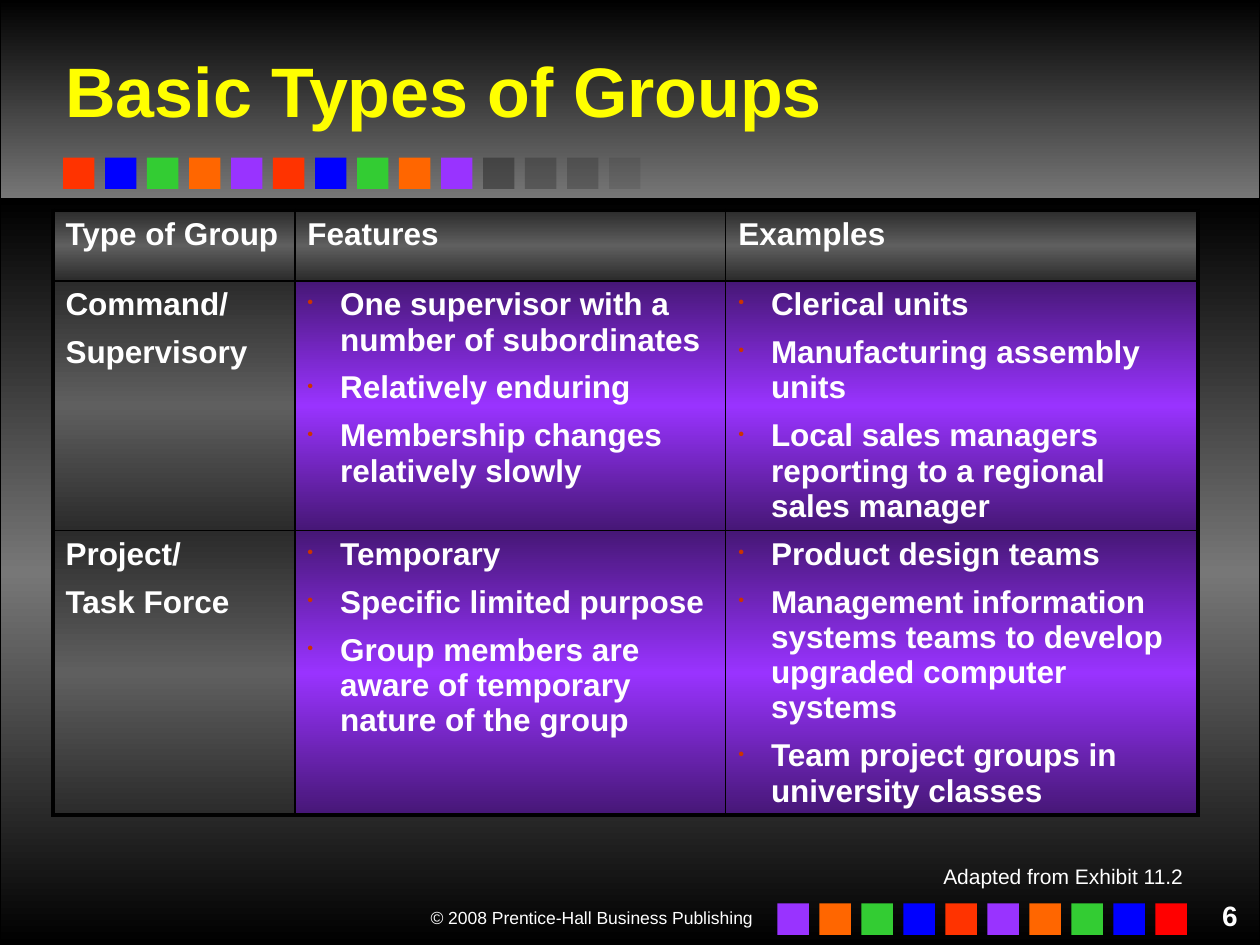
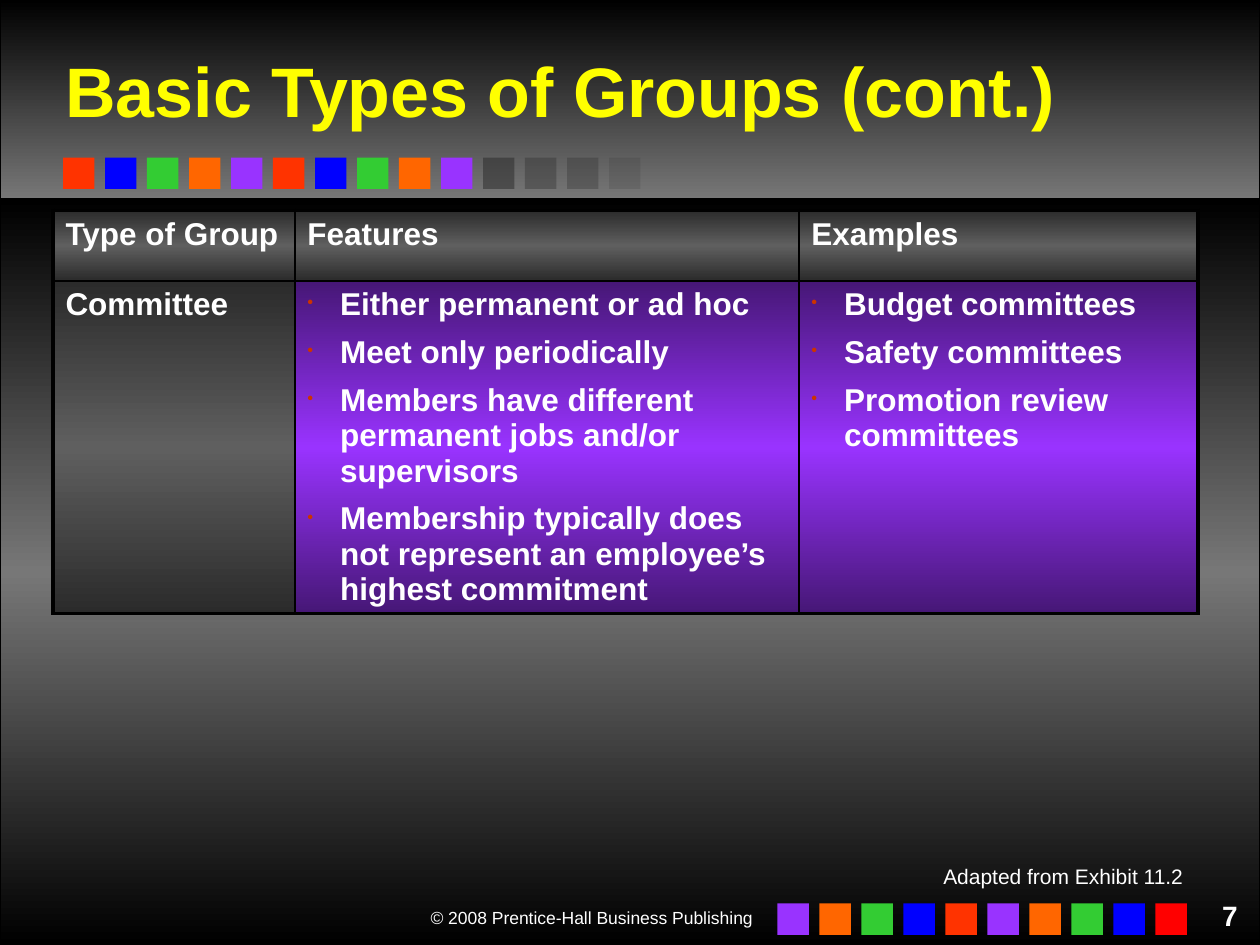
"""Build two slides that compare the basic types of groups."""
from dataclasses import dataclass
from typing import Any, Optional

import lxml.etree
import pptx
import pptx.dml.color
import pptx.enum.shapes
import pptx.enum.text
import pptx.oxml.ns
import pptx.util

Inches = pptx.util.Inches
Pt = pptx.util.Pt
qn = pptx.oxml.ns.qn
PP_ALIGN = pptx.enum.text.PP_ALIGN
ANCHOR = pptx.enum.text.MSO_ANCHOR

FONT = "Arial"
BLACK, WHITE, YELLOW, GREY = "000000", "FFFFFF", "FFFF00", "777777"
RED, BLUE, GREEN, ORANGE, PURPLE = "FF3300", "0000FF", "33CC33", "FF6600", "9933FF"
BRIGHT_RED, FADED, BULLET_RED = "FF0000", "292929", "CC3300"
LABEL_GREY = "5F5F5F"
EDGE_SHADE = 46275
SQUARE_SIZE, SQUARE_STEP = 0.25, 1 / 3
OUTER_LINE, INNER_LINE = 2.25, 1
HEADINGS = ("Type of Group", "Features", "Examples")
HEADER_HEIGHT, ROW_HEIGHT = 0.56, 1.75


@dataclass(frozen=True)
class Stop:
    """One gradient stop, with its position and optional shade in percent."""
    position: int
    color: str
    shade: Optional[int] = None


@dataclass(frozen=True)
class Band:
    """A full-width background band."""
    top: float
    height: float
    stops: tuple[Stop, ...]


@dataclass(frozen=True)
class SquareRow:
    """A row of evenly spaced squares, each a colour and an opacity."""
    left: float
    top: float
    squares: tuple[tuple[str, int], ...]


@dataclass(frozen=True)
class Note:
    """A right-aligned line of white text."""
    text: str
    left: float
    top: float
    width: float
    height: float
    size: int
    bold: bool = False
    line_spacing: float = 1.0


@dataclass(frozen=True)
class GroupType:
    """A table row: the label lines, the features and the examples."""
    label: tuple[str, ...]
    features: tuple[str, ...]
    examples: tuple[str, ...]


@dataclass(frozen=True)
class GroupPage:
    """The content of one slide."""
    number: int
    title: str
    widths: tuple[float, ...]
    groups: tuple[GroupType, ...]


BANDS = (
    Band(0, 1.58, (Stop(0, BLACK), Stop(100, GREY))),
    Band(1.58, 5.92, (Stop(0, BLACK), Stop(50, GREY), Stop(100, BLACK))),
)
TOP_COLORS = (RED, BLUE, GREEN, ORANGE, PURPLE) * 2
FOOTER_COLORS = (PURPLE, ORANGE, GREEN, BLUE, RED,
                 PURPLE, ORANGE, GREEN, BLUE, BRIGHT_RED)
SQUARE_ROWS = (
    SquareRow(0.5, 1.25, tuple((color, 100) for color in TOP_COLORS)
              + tuple((FADED, opacity) for opacity in (50, 35, 30, 15))),
    SquareRow(6.17, 7.17, tuple((color, 100) for color in FOOTER_COLORS)),
)
COPYRIGHT = Note("© 2008 Prentice-Hall Business Publishing", 2.92, 7.15, 3.15, 0.27, 10)
CREDIT = Note("Adapted from Exhibit 11.2", 7.08, 6.83, 2.41, 0.28, 12, line_spacing=0.9)

PAGES = (
    GroupPage(6, "Basic Types of Groups", (1.92, 3.42, 3.75), (
        GroupType(
            ("Command/", "Supervisory"),
            ("One supervisor with a number of subordinates",
             "Relatively enduring",
             "Membership changes relatively slowly"),
            ("Clerical units",
             "Manufacturing assembly units",
             "Local sales managers reporting to a regional sales manager")),
        GroupType(
            ("Project/", "Task Force"),
            ("Temporary",
             "Specific limited purpose",
             "Group members are aware of temporary nature of the group"),
            ("Product design teams",
             "Management information systems teams to develop upgraded computer systems",
             "Team project groups in university classes")),
    )),
    GroupPage(7, "Basic Types of Groups (cont.)", (1.92, 4, 3.17), (
        GroupType(
            ("Committee",),
            ("Either permanent or ad hoc",
             "Meet only periodically",
             "Members have different permanent jobs and/or supervisors",
             "Membership typically does not represent an employee’s highest commitment"),
            ("Budget committees",
             "Safety committees",
             "Promotion review committees")),
    )),
)


def rgb(color: str) -> pptx.dml.color.RGBColor:
    """Turn a hex string into a colour."""
    return pptx.dml.color.RGBColor.from_string(color)


def add_element(parent: Any, tag: str, **attributes: Any) -> Any:
    """Append a drawing element with the given attributes."""
    values = {name: str(value) for name, value in attributes.items()}
    return lxml.etree.SubElement(parent, qn(f"a:{tag}"), values)


def apply_format(target: Any, values: dict[str, Any]) -> None:
    """Set each attribute named in the format values."""
    for name, value in values.items():
        setattr(target, name, value)


def format_font(font: Any, size: int, color: str, bold: bool) -> None:
    """Format a font in the deck's typeface."""
    apply_format(font, {"name": FONT, "size": Pt(size), "bold": bold})
    font.color.rgb = rgb(color)


def fill_gradient(fill: Any, owner: Any, stops: tuple[Stop, ...]) -> None:
    """Fill from top to bottom with the given stops."""
    fill.gradient()
    fill.gradient_angle = 270
    stop_list = owner.find(f".//{qn('a:gsLst')}")
    for old_stop in list(stop_list):
        stop_list.remove(old_stop)
    for stop in stops:
        entry = add_element(stop_list, "gs", pos=stop.position * 1000)
        color = add_element(entry, "srgbClr", val=stop.color)
        if stop.shade is not None:
            add_element(color, "gamma")
            add_element(color, "shade", val=stop.shade)
            add_element(color, "invGamma")


def add_rectangle(page: Any, left: float, top: float, width: float, height: float) -> Any:
    """Add a rectangle without a shadow."""
    shape = page.shapes.add_shape(
        pptx.enum.shapes.MSO_SHAPE.RECTANGLE,
        Inches(left), Inches(top), Inches(width), Inches(height))
    shape.shadow.inherit = False
    return shape


def draw_band(page: Any, band: Band) -> None:
    """Draw a gradient band across the page."""
    shape = add_rectangle(page, 0, band.top, 10, band.height)
    fill_gradient(shape.fill, shape.element, band.stops)
    shape.line.color.rgb = rgb(BLACK)
    shape.line.width = Pt(0.75)


def draw_squares(page: Any, row: SquareRow) -> None:
    """Draw a row of coloured squares."""
    for index, (color, opacity) in enumerate(row.squares):
        square = add_rectangle(page, row.left + index * SQUARE_STEP, row.top,
                               SQUARE_SIZE, SQUARE_SIZE)
        square.fill.solid()
        square.fill.fore_color.rgb = rgb(color)
        square.line.fill.background()
        if opacity < 100:
            fill_color = square.element.spPr.find(f".//{qn('a:srgbClr')}")
            add_element(fill_color, "alpha", val=opacity * 1000)


def draw_note(page: Any, note: Note) -> None:
    """Draw a right-aligned text box."""
    box = page.shapes.add_textbox(
        Inches(note.left), Inches(note.top), Inches(note.width), Inches(note.height))
    box.text_frame.word_wrap = True
    para = box.text_frame.paragraphs[0]
    apply_format(para, {"alignment": PP_ALIGN.RIGHT, "line_spacing": note.line_spacing})
    span = para.add_run()
    span.text = note.text
    format_font(span.font, note.size, WHITE, note.bold)


def draw_title(page: Any, text: str) -> None:
    """Place and format the title above the bands."""
    title = page.shapes.title
    title.element.getparent().append(title.element)
    apply_format(title, {"left": Inches(0.42), "top": Inches(0.25),
                         "width": Inches(9.42), "height": Inches(0.92)})
    apply_format(title.text_frame, {"word_wrap": True, "vertical_anchor": ANCHOR.MIDDLE,
                                    "auto_size": pptx.enum.text.MSO_AUTO_SIZE.NONE})
    para = title.text_frame.paragraphs[0]
    para.alignment = PP_ALIGN.LEFT
    span = para.add_run()
    span.text = text
    format_font(span.font, 40, YELLOW, True)
    fill = span.font.fill
    fill.solid()
    fill.fore_color.rgb = rgb(YELLOW)
    effects = lxml.etree.Element(qn("a:effectLst"))
    shadow = add_element(effects, "outerShdw", dist=Pt(3), dir=2700000, algn="tl")
    add_element(shadow, "srgbClr", val=BLACK)
    span.font._element.find(qn("a:solidFill")).addnext(effects)


def draw_borders(cell: Any, outer: dict[str, bool]) -> None:
    """Give a cell thick borders on outer sides and thin ones inside."""
    properties = cell._tc.get_or_add_tcPr()
    for side, is_outer in outer.items():
        width = Pt(OUTER_LINE if is_outer else INNER_LINE)
        line = add_element(properties, f"ln{side}", w=width)
        add_element(add_element(line, "solidFill"), "srgbClr", val=BLACK)


def write_cell(cell: Any, lines: tuple[str, ...], bulleted: bool) -> None:
    """Write the lines of a cell as paragraphs."""
    for index, line in enumerate(lines):
        frame = cell.text_frame
        para = frame.add_paragraph() if index else frame.paragraphs[0]
        if bulleted:
            properties = para._p.get_or_add_pPr()
            properties.set("marL", str(Inches(0.26)))
            properties.set("indent", str(Inches(-0.26)))
            add_element(add_element(properties, "buClr"), "srgbClr", val=BULLET_RED)
            add_element(properties, "buSzPct", val=55000)
            add_element(properties, "buChar", char="•")
        if index:
            para.space_before = Pt(7.2)
        span = para.add_run()
        span.text = line
        format_font(span.font, 18, WHITE, True)


def draw_table(page: Any, content: GroupPage) -> None:
    """Draw the table of group types."""
    rows = [tuple((heading,) for heading in HEADINGS)]
    rows += [(group.label, group.features, group.examples) for group in content.groups]
    heights = [HEADER_HEIGHT] + [ROW_HEIGHT] * len(content.groups)
    table = page.shapes.add_table(
        len(rows), len(HEADINGS), Inches(0.42), Inches(1.67),
        Inches(sum(content.widths)), Inches(sum(heights))).table
    apply_format(table, {"first_row": False, "horz_banding": False})
    for column, width in zip(table.columns, content.widths):
        column.width = Inches(width)
    for row_index, (row, height) in enumerate(zip(rows, heights)):
        table.rows[row_index].height = Inches(height)
        for column_index, lines in enumerate(row):
            cell = table.cell(row_index, column_index)
            bulleted = row_index > 0 and column_index > 0
            draw_borders(cell, {"L": column_index == 0,
                                "R": column_index == len(row) - 1,
                                "T": row_index == 0,
                                "B": row_index == len(rows) - 1})
            color = PURPLE if bulleted else LABEL_GREY
            fill_gradient(cell.fill, cell._tc, (
                Stop(0, color, EDGE_SHADE), Stop(50, color), Stop(100, color, EDGE_SHADE)))
            write_cell(cell, lines, bulleted)


def draw_page(deck: Any, content: GroupPage) -> None:
    """Add one complete slide to the deck."""
    page = deck.slides.add_slide(deck.slide_layouts[5])
    for band in BANDS:
        draw_band(page, band)
    draw_note(page, COPYRIGHT)
    for row in SQUARE_ROWS:
        draw_squares(page, row)
    draw_note(page, Note(str(content.number), 9.42, 7.08, 0.5, 0.17, 16, bold=True))
    draw_title(page, content.title)
    draw_table(page, content)
    draw_note(page, CREDIT)


def main() -> None:
    """Build and save the deck."""
    deck = pptx.Presentation()
    apply_format(deck, {"slide_width": Inches(10), "slide_height": Inches(7.5)})
    for content in PAGES:
        draw_page(deck, content)
    deck.save("out.pptx")


if __name__ == "__main__":
    main()
